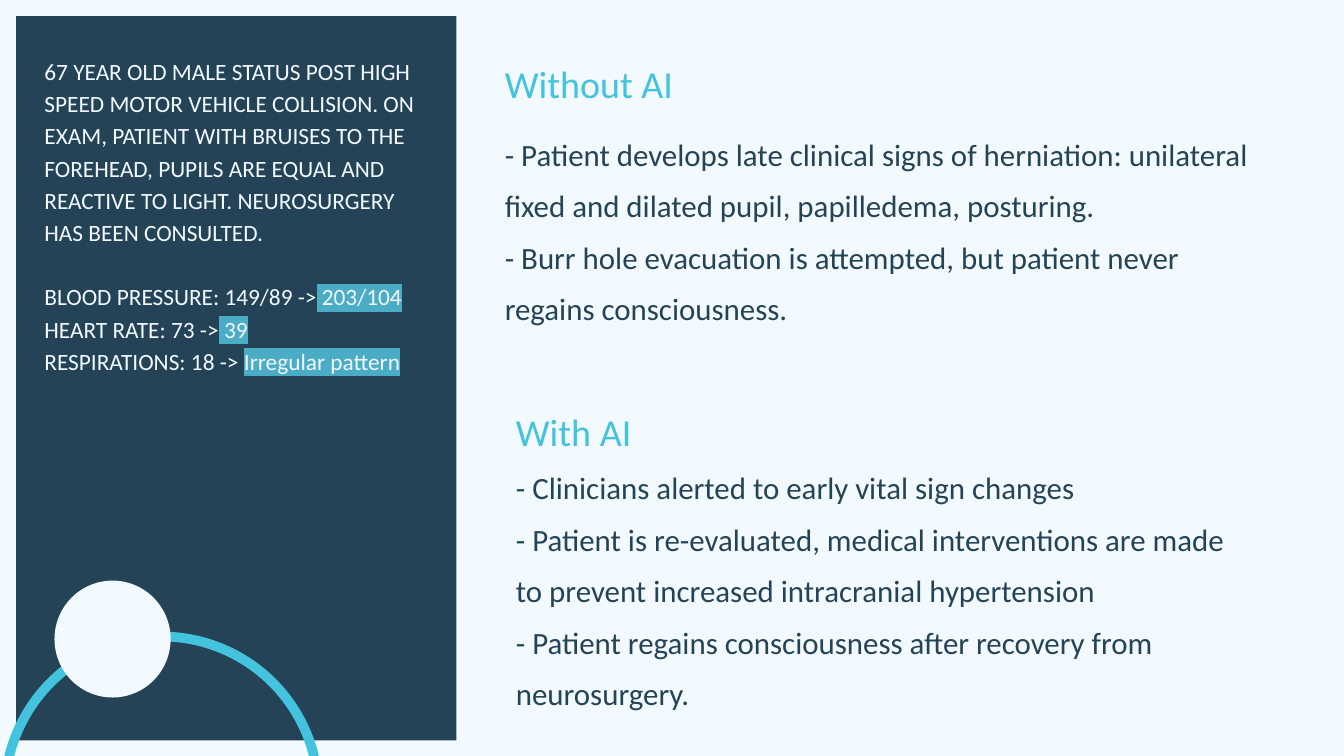
from lxml.etree import SubElement
from pptx import Presentation
from pptx.dml.color import RGBColor
from pptx.enum.shapes import MSO_SHAPE
from pptx.enum.text import MSO_ANCHOR
from pptx.oxml.ns import qn
from pptx.util import Cm, Pt

PALE = RGBColor(0xF2, 0xFA, 0xFF)
NAVY = RGBColor(0x24, 0x43, 0x57)
CYAN = RGBColor(0x43, 0xC3, 0xDD)
MARKER = RGBColor(0x4B, 0xAC, 0xC6)

CASE_STYLE = {"size": Pt(25), "color": PALE, "line_spacing": 1.15}
HEADING_STYLE = {"size": Pt(40.8), "color": CYAN, "line_spacing": 1.15}
BODY_STYLE = {"size": Pt(33.1), "color": NAVY, "line_spacing": 1.39}

CASE = (
    "67 YEAR OLD MALE STATUS POST HIGH SPEED MOTOR VEHICLE COLLISION. "
    "ON EXAM, PATIENT WITH BRUISES TO THE FOREHEAD, PUPILS ARE EQUAL AND "
    "REACTIVE TO LIGHT. NEUROSURGERY HAS BEEN CONSULTED."
)
VITALS = [
    ("BLOOD PRESSURE: 149/89 ->", " 203/104"),
    ("HEART RATE: 73 ->", " 39"),
    ("RESPIRATIONS: 18 -> ", "Irregular pattern"),
]
WITHOUT_AI = [
    "- Patient develops late clinical signs of herniation: unilateral fixed "
    "and dilated pupil, papilledema, posturing.",
    "- Burr hole evacuation is attempted, but patient never regains consciousness.",
]
WITH_AI = [
    "- Clinicians alerted to early vital sign changes",
    "- Patient is re-evaluated, medical interventions are made to prevent "
    "increased intracranial hypertension",
    "- Patient regains consciousness after recovery from neurosurgery.",
]


def add_filled_shape(shapes, kind, box, color):
    """Add a borderless preset shape in one colour."""
    shape = shapes.add_shape(kind, *map(Cm, box))
    shape.shadow.inherit = False
    shape.fill.solid()
    shape.fill.fore_color.rgb = color
    shape.line.fill.background()
    return shape


def add_highlight(run, color):
    """Mark a run with a background colour."""
    properties = run.font._element
    highlight = SubElement(properties, qn("a:highlight"))
    SubElement(highlight, qn("a:srgbClr"), val=str(color))
    properties.find(qn("a:solidFill")).addnext(highlight)


def add_run(paragraph, text, style):
    """Append a styled run to a paragraph."""
    run = paragraph.add_run()
    run.text = text
    for name, value in {"name": "Calibri", "size": style["size"]}.items():
        setattr(run.font, name, value)
    run.font.color.rgb = style["color"]
    return run


def add_text(shapes, box, lines, margin=0):
    """Add a wrapped text box from pairs of text and style."""
    frame = shapes.add_textbox(*map(Cm, box)).text_frame
    settings = {"word_wrap": True, "vertical_anchor": MSO_ANCHOR.TOP}
    for side in ("left", "top", "right", "bottom"):
        settings[f"margin_{side}"] = Cm(margin)
    for name, value in settings.items():
        setattr(frame, name, value)
    for index, (text, style) in enumerate(lines):
        paragraph = frame.add_paragraph() if index else frame.paragraphs[0]
        paragraph.line_spacing = style["line_spacing"]
        add_run(paragraph, text, style)
    return frame


def add_case(shapes):
    """Add the patient history with the changed vital signs marked."""
    lines = [(text, CASE_STYLE) for text in (CASE, *(before for before, _ in VITALS))]
    frame = add_text(shapes, (1.68, 2.01, 14.53, 12.93), lines)
    vital_paragraphs = frame.paragraphs[1:]
    vital_paragraphs[0].space_before = Pt(34.5)
    for paragraph, (_, after) in zip(vital_paragraphs, VITALS):
        add_highlight(add_run(paragraph, after, CASE_STYLE), MARKER)


def add_outcomes(shapes):
    """Add the outcomes without and with AI."""
    group = shapes.add_group_shape()
    body = [(text, BODY_STYLE) for text in WITHOUT_AI]
    add_text(group.shapes, (19.08, 4.57, 28.78, 4.62), body)
    add_text(group.shapes, (19.08, 2.03, 28.78, 1.12), [("Without AI", HEADING_STYLE)])
    lines = [("With AI", HEADING_STYLE), *((text, BODY_STYLE) for text in WITH_AI)]
    add_text(shapes, (19.25, 14.94, 28.42, 3.15), lines, margin=0.25)


def main():
    """Build and save the slide."""
    presentation = Presentation()
    presentation.slide_width = Cm(50.8)
    presentation.slide_height = Cm(28.58)
    slide = presentation.slides.add_slide(presentation.slide_layouts[6])
    slide.background.fill.solid()
    slide.background.fill.fore_color.rgb = PALE
    shapes = slide.shapes

    add_filled_shape(shapes, MSO_SHAPE.RECTANGLE, (0.61, 0.61, 16.64, 27.38), NAVY)
    add_case(shapes)
    ring = add_filled_shape(shapes, MSO_SHAPE.DONUT, (0, 23.88, 12.22, 12.22), CYAN)
    ring.adjustments[0] = 0.03
    add_filled_shape(shapes, MSO_SHAPE.OVAL, (2.06, 21.95, 4.39, 4.42), PALE)
    add_outcomes(shapes)
    presentation.save("out.pptx")


if __name__ == "__main__":
    main()
